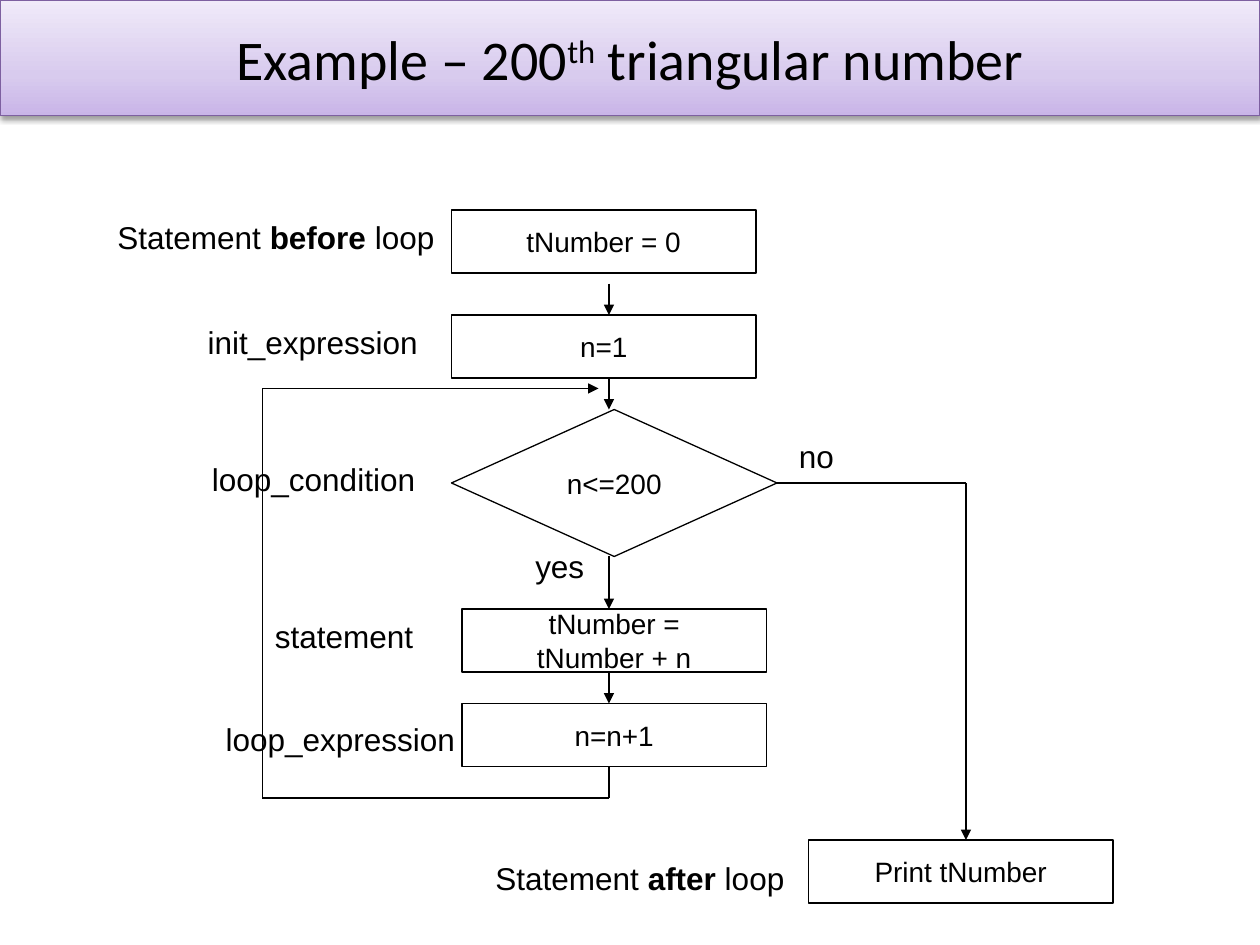
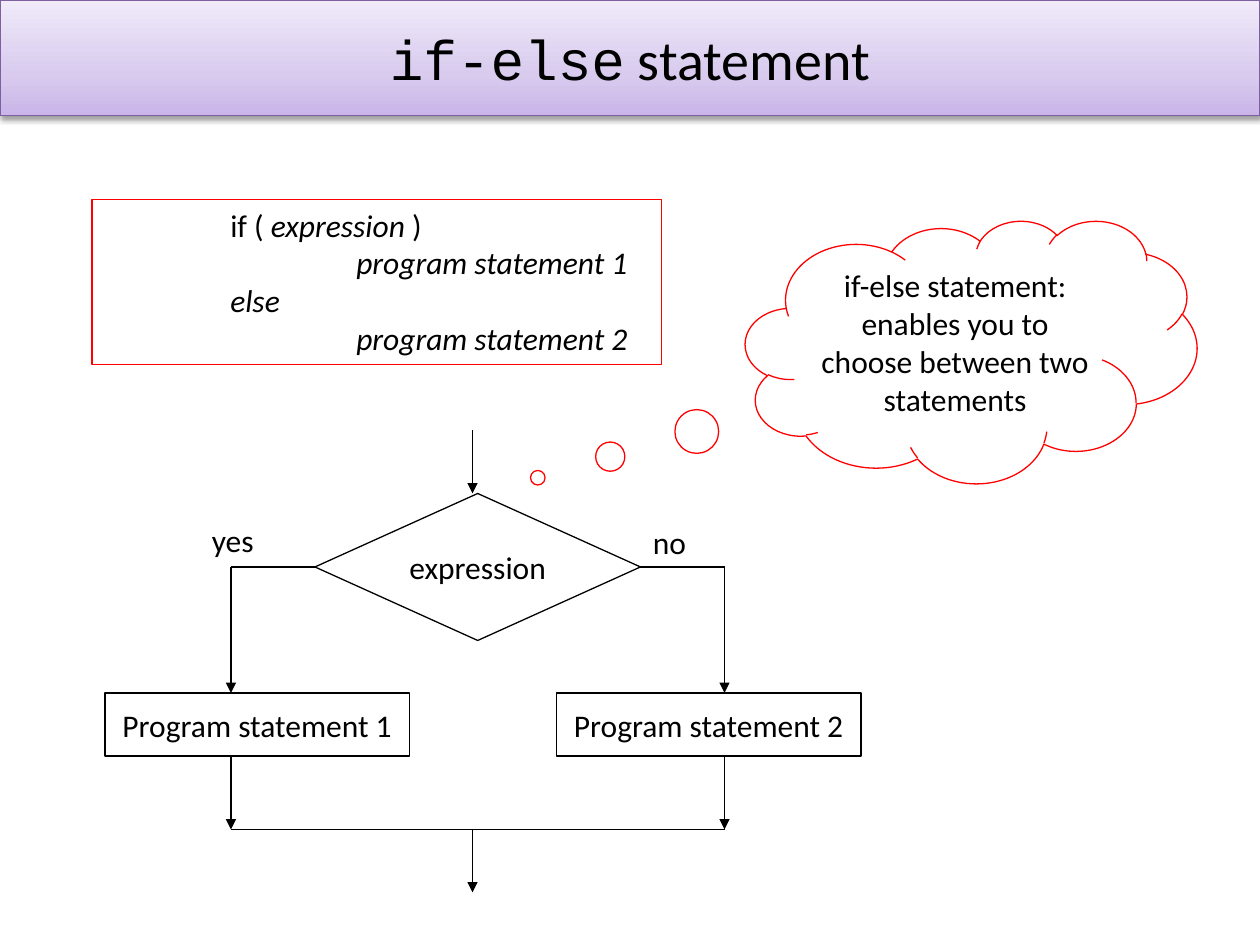
from itertools import pairwise
from pptx import Presentation
from pptx.dml.color import RGBColor as Rgb
from pptx.enum.shapes import MSO_CONNECTOR as Link, MSO_SHAPE as Kind
from pptx.enum.text import MSO_ANCHOR as Anchor, MSO_AUTO_SIZE as Fit, PP_ALIGN as Align
from pptx.oxml import parse_xml
from pptx.oxml.ns import nsdecls
from pptx.util import Inches, Pt

HUES = {
    "ink": "000000",
    "red": "FF0000",
    "edge": "7D60A0",
    "low": "C9B5E8",
    "mid": "D8CBEE",
    "high": "F0EAF9",
}
CELL = Inches(1) // 12
COLS, ROWS = 120, 90
RIGHT, LEFT = 3, 1


def grid(*cells):
    return [round(cell * CELL) for cell in cells]


def xml(tag, inner="", attrs=""):
    return parse_xml(f"<a:{tag} {nsdecls('a')} {attrs}>{inner}</a:{tag}>")


def write(frame, lines, size=18, font="Calibri", align=Align.CENTER,
          anchor=Anchor.MIDDLE, wrap=False, fit=Fit.NONE, tabs=()):
    frame.word_wrap = wrap
    frame.auto_size = fit
    frame.vertical_anchor = anchor
    for row, line in enumerate([lines] if isinstance(lines, str) else lines):
        para = frame.add_paragraph() if row else frame.paragraphs[0]
        para.alignment = align
        if tabs:
            para._p.get_or_add_pPr().set("marL", str(Inches(tabs[row])))
        for part in [line] if isinstance(line, str) else line:
            words, style = (part, {}) if isinstance(part, str) else part
            run = para.add_run()
            run.text = words
            face = run.font
            face.size, face.name = Pt(size), font
            face.color.rgb = Rgb.from_string(HUES["ink"])
            for key, value in style.items():
                if key == "raise":
                    run._r.get_or_add_rPr().set("baseline", str(value * 1000))
                else:
                    setattr(face, key, value)


class Deck:
    def __init__(self):
        self.file = Presentation()
        self.file.slide_width, self.file.slide_height = grid(COLS, ROWS)
        self.font, self.size = "Calibri", 18

    def start(self, title, font="Calibri", size=18):
        self.font, self.size = font, size
        self.slide = self.file.slides.add_slide(self.file.slide_layouts[5])
        self.shapes = self.slide.shapes
        band = self.shapes.title
        band.left, band.top, band.width, band.height = grid(0, 0, COLS, 11)
        stops = "".join(
            f'<a:gs pos="{at * 1000}"><a:srgbClr val="{HUES[hue]}"/></a:gs>'
            for at, hue in ((0, "low"), (35, "mid"), (100, "high")))
        props = band._element.spPr
        props.append(xml("gradFill", f'<a:gsLst>{stops}</a:gsLst><a:lin ang="16200000" scaled="0"/>'))
        self.stroke(band, "edge")
        props.append(xml("effectLst", (
            '<a:outerShdw blurRad="40000" dist="20000" dir="5400000" rotWithShape="0">'
            f'<a:srgbClr val="{HUES["ink"]}"><a:alpha val="38000"/></a:srgbClr></a:outerShdw>')))
        write(band.text_frame, [title], size=32, wrap=True)

    def stroke(self, item, hue="ink"):
        item.line.color.rgb = Rgb.from_string(HUES[hue])
        item.line.width = Pt(0.75)

    def node(self, lines, x, y, w=29, h=6, kind=Kind.FLOWCHART_PROCESS, hue="ink", **style):
        item = self.shapes.add_shape(kind, *grid(x, y, w, h))
        item.shadow.inherit = False
        item.fill.background()
        self.stroke(item, hue)
        write(item.text_frame, lines, **{"font": self.font, "size": self.size, **style})
        return item

    def choice(self, text, x, y):
        return self.node(text, x, y, 31, 14, Kind.FLOWCHART_DECISION)

    def label(self, lines, x, y, w):
        item = self.shapes.add_textbox(*grid(x, y, w, 4.8))
        write(item.text_frame, lines, font=self.font, align=Align.LEFT,
              anchor=Anchor.TOP, fit=Fit.SHAPE_TO_FIT_TEXT)

    def flow(self, *points, arrow=True, source=None, side=RIGHT):
        legs = list(pairwise(points))
        for count, (head, tail) in enumerate(legs, 1):
            line = self.shapes.add_connector(Link.STRAIGHT, *grid(*head, *tail))
            if source and count == 1:
                line.begin_connect(source, side)
            self.stroke(line)
            if arrow and count == len(legs):
                line.line._get_or_add_ln().append(xml("tailEnd", attrs='type="triangle"'))
            line._element.spPr.append(xml("effectLst"))


def loop(deck):
    deck.start(["Example – 200", ("th", {"raise": 30}), " triangular number"],
               font="Arial", size=16)
    for lines, x, y in (
        ("tNumber = 0", 43, 20),
        ("n=1", 43, 30),
        (["tNumber =", "tNumber + n"], 44, 58),
        ("n=n+1", 44, 67),
        ("Print tNumber", 77, 80),
    ):
        deck.node(lines, x, y)
    test = deck.choice("n<=200", 43, 39)
    for top, end in ((27, 30), (36, 39), (53, 58), (64, 67)):
        deck.flow((58, top), (58, end))
    deck.flow((58, 73), (58, 76), (25, 76), (25, 37), (57, 37))
    deck.flow((74, 46), (92, 46), (92, 80), source=test)
    bold = {"bold": True}
    for lines, x, y, w in (
        ([["Statement ", ("before", bold), " loop"]], 10, 20.2, 33),
        ("init_expression", 18.6, 30.2, 23),
        ("loop_condition", 19, 43.2, 22.4),
        ("statement", 25, 58.2, 16),
        ("loop_expression", 20.3, 68, 25),
        ([["Statement ", ("after", bold), " loop"]], 46, 81.2, 30.4),
        ("yes", 49.8, 51.5, 7.4),
        ("no", 74.9, 41, 6.2),
    ):
        deck.label(lines, x, y, w)


def branch(deck):
    deck.start([("if-else", {"name": "Courier New"}), " statement"])
    slant = {"italic": True}
    deck.node(
        [["if ( ", ("expression ", slant), ")"], [("program statement 1", slant)],
         [("else", slant)], [("program statement 2", slant)]],
        8.75, 19, 54.25, 15.75, Kind.RECTANGLE, "red",
        align=Align.LEFT, anchor=Anchor.TOP, wrap=True, tabs=(1, 2, 1, 2))
    cloud = deck.node("if-else statement: enables you to choose between two statements",
                      71, 21, 43, 25, Kind.CLOUD_CALLOUT, "red",
                      anchor=Anchor.TOP, wrap=True)
    cloud.adjustments[0], cloud.adjustments[1] = -0.96, 0.48
    test = deck.choice("expression", 30, 47)
    deck.flow((45, 41), (45, 47))
    for text, x, mid, edge, side in (
        ("Program statement 1", 10, 22, 30, LEFT),
        ("Program statement 2", 53, 69, 61, RIGHT),
    ):
        deck.node(text, x, 66)
        deck.flow((edge, 54), (mid, 54), (mid, 66), source=test, side=side)
        deck.flow((mid, 72), (mid, 79))
    deck.flow((22, 79), (69, 79), arrow=False)
    deck.flow((45, 79), (45, 85))
    deck.label("yes", 19, 49, 7.4)
    deck.label("no", 61, 49.2, 6.2)


def main():
    deck = Deck()
    loop(deck)
    branch(deck)
    deck.file.save("out.pptx")


if __name__ == "__main__":
    main()
